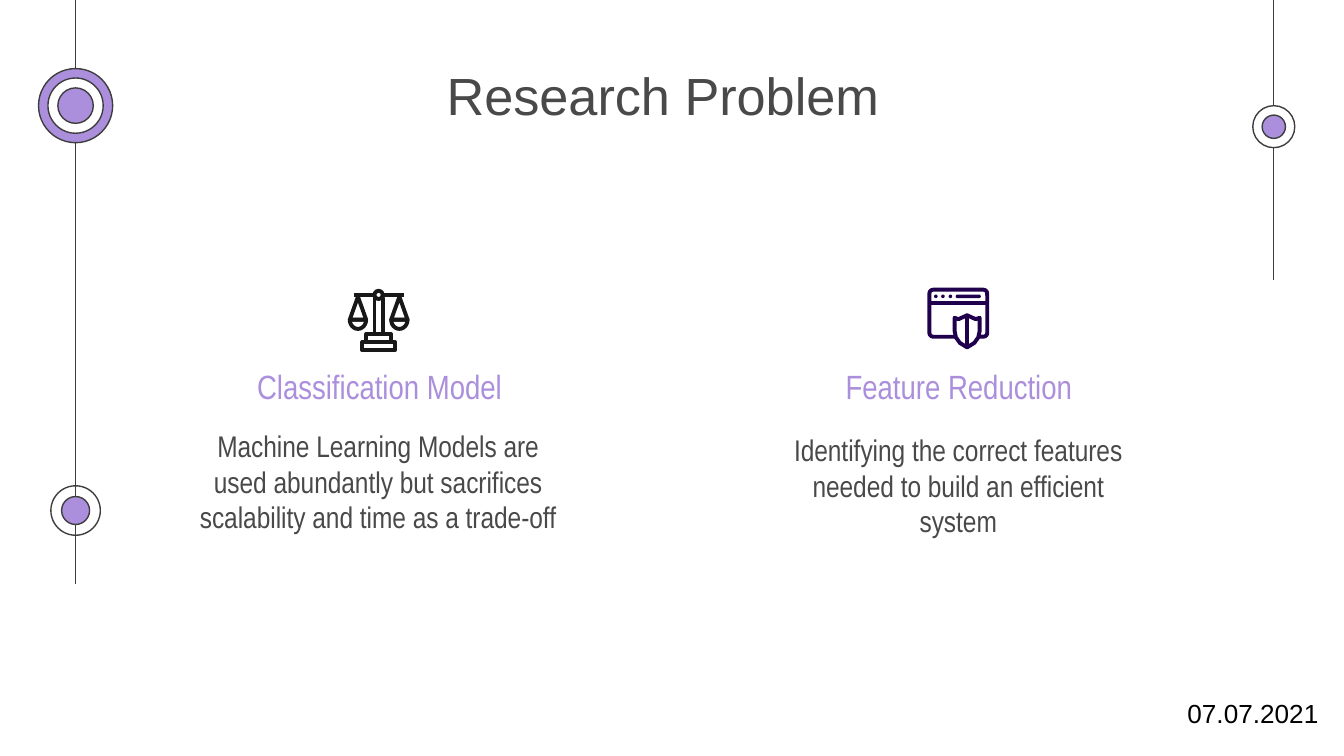
from math import cos, pi, sin

from lxml import etree
from pptx import Presentation
from pptx.dml.color import RGBColor
from pptx.enum.shapes import MSO_CONNECTOR, MSO_SHAPE
from pptx.enum.text import MSO_ANCHOR, MSO_AUTO_SIZE, PP_ALIGN
from pptx.oxml.ns import qn
from pptx.util import Pt

STRAIGHT = MSO_CONNECTOR.STRAIGHT
OVAL, RECT, ROUNDED = MSO_SHAPE.OVAL, MSO_SHAPE.RECTANGLE, MSO_SHAPE.ROUNDED_RECTANGLE
CENTER, RIGHT = PP_ALIGN.CENTER, PP_ALIGN.RIGHT

COLORS = {"rail": "3D3D3D", "accent": "AB8FDC", "text": "494949", "white": "FFFFFF",
          "window": "20004D", "scales": "181818", "date": "000000"}

# Content: placeholder index, text, box (left, top, width, height), style
TEXTS = [
    (0, "Research Problem", (135.4, 26.6, 439.2, 46.8), "title"),
    (1, "Classification Model", (118.1, 188.6, 170.6, 25.9), "heading"),
    (2, "Machine Learning Models are used abundantly but sacrifices scalability "
        "and time as a trade-off", (95, 221.8, 215.3, 87.8), "body"),
    (3, "Feature Reduction", (424.8, 188.6, 177.8, 25.9), "heading"),
    (4, "Identifying the correct features needed to build an efficient system",
     (409.7, 223.9, 207.4, 85), "body"),
]
DATE = ("07.07.2021", (0.7, 370, 712.8, 24.5))
STYLES = {
    "title": ("Arial", 28, "text", CENTER),
    "heading": ("Arial Narrow", 18, "accent", CENTER),
    "body": ("Arial Narrow", 16, "text", CENTER),
    "date": ("Arial", 14, "date", RIGHT),
}

# Rails: x and length; targets: centre, then (diameter, fill) from outside in
RAILS = [(40.5, 313), (682.4, 150)]
TARGETS = [
    ((40.5, 273.5), [(26.5, None), (15, "accent")]),
    ((682.4, 67.9), [(22.5, "white"), (12.5, "accent")]),
    ((40.5, 56.6), [(39.7, "accent"), (29.6, "white"), (19, "accent")]),
]

# Icons: corner, then parts measured from that corner
SCALES_AT, WINDOW_AT, STROKE = (186.5, 154.8), (496.8, 154.1), 2.1
BEAM = ((2.9, 3.2), (30.1, 3.2))
SCALES_BLOCKS = [(14.1, 5, 4.4, 19.1), (9.8, 24.1, 13.2, 4.4), (7.6, 28.5, 17.6, 4.3)]
PAN_CENTERS, PAN_RADIUS, PAN_TOP, PAN_Y, PAN_DEPTH = (5.3, 27.5), 4.4, 4.2, 16.5, 4.9
WINDOW_DOTS, DOT = (3.6, 7.4, 11.4), 1.9
SHIELD_X, SHIELD_HALF = 21.3, [(0, 14.8), (4.6, 16.9), (6.7, 16.2), (6.7, 23.2),
                               (6, 26.6), (3.9, 29.6), (0, 32)]


def rgb(name):
    return RGBColor.from_string(COLORS[name])


def paint(shape, fill=None, line=None, width=0.75):
    shape.shadow.inherit = False
    if fill:
        shape.fill.solid()
        shape.fill.fore_color.rgb = rgb(fill)
    else:
        shape.fill.background()
    if line:
        shape.line.color.rgb = rgb(line)
        shape.line.width = Pt(width)
    else:
        shape.line.fill.background()


def add_preset(kind, box, **look):
    shape = slide.shapes.add_shape(kind, *map(Pt, box))
    paint(shape, **look)
    return shape


def add_line(start, end, color, width=0.75):
    line = slide.shapes.add_connector(STRAIGHT, *map(Pt, (*start, *end)))
    line.line.color.rgb = rgb(color)
    line.line.width = Pt(width)
    etree.SubElement(line._element.spPr, qn("a:effectLst"))


def add_outline(points, **look):
    first, *rest = [(Pt(x), Pt(y)) for x, y in points]
    builder = slide.shapes.build_freeform(*first)
    builder.add_line_segments(rest, close=True)
    paint(builder.convert_to_shape(), **look)


def shift(corner, *points):
    return [(corner[0] + x, corner[1] + y) for x, y in points]


def write(shape, text, box, style):
    font_name, size, color, align = STYLES[style]
    shape.left, shape.top, shape.width, shape.height = map(Pt, box)
    frame = shape.text_frame
    frame.text = text
    frame_format = {"word_wrap": True, "auto_size": MSO_AUTO_SIZE.NONE,
                    "vertical_anchor": MSO_ANCHOR.TOP, "margin_left": Pt(7.2),
                    "margin_right": Pt(7.2), "margin_top": Pt(7.2), "margin_bottom": Pt(7.2)}
    if style == "date":
        frame_format.update(margin_top=Pt(3.6), margin_bottom=Pt(3.6))
    paragraph = frame.paragraphs[0]
    properties = paragraph._p.get_or_add_pPr()
    properties.set("marL", "0")
    properties.set("indent", "0")
    etree.SubElement(properties, qn("a:buNone"))
    font = paragraph.runs[0].font
    formats = [
        (frame, frame_format),
        (paragraph, {"alignment": align, "space_before": Pt(0)}),
        (font, {"name": font_name, "size": Pt(size), "bold": False}),
    ]
    for target, values in formats:
        for key, value in values.items():
            setattr(target, key, value)
    font.color.rgb = rgb(color)


prs = Presentation()
prs.slide_width, prs.slide_height = Pt(720), Pt(405)
slide = prs.slides.add_slide(prs.slide_layouts[4])

# Rails and their targets
for x, length in RAILS:
    add_line((x, 0), (x, length), "rail")
for (x, y), rings in TARGETS:
    for diameter, fill in rings:
        add_preset(OVAL, (x - diameter / 2, y - diameter / 2, diameter, diameter),
                   fill=fill, line="rail")

# Title, headings, descriptions and date
for index, text, box, style in TEXTS:
    write(slide.placeholders[index], text, box, style)
date_text, date_box = DATE
write(slide.shapes.add_textbox(*map(Pt, date_box)), date_text, date_box, "date")

# Browser window with shield
ink = {"line": "window", "width": STROKE}
left, top = WINDOW_AT
window = add_preset(ROUNDED, (left + 1.1, top + 1.1, 31, 25.2), **ink)
window.adjustments[0] = 0.08
add_line(*shift(WINDOW_AT, (1.1, 8.4), (32.1, 8.4)), "window", STROKE)
for x in WINDOW_DOTS:
    add_preset(OVAL, (left + x, top + 3.7, DOT, DOT), fill="window")
address_bar = add_preset(ROUNDED, (left + 15.2, top + 3.7, 13.5, DOT), fill="window")
address_bar.adjustments[0] = 0.5
shield = [(SHIELD_X + x, y) for x, y in SHIELD_HALF]
shield += [(SHIELD_X - x, y) for x, y in SHIELD_HALF[-2:0:-1]]
add_outline(shift(WINDOW_AT, *shield), fill="white", **ink)
add_line(*shift(WINDOW_AT, (SHIELD_X, 14.8), (SHIELD_X, 32)), "window", STROKE)

# Balance scales
ink = {"line": "scales", "width": STROKE}
left, top = SCALES_AT
add_line(*shift(SCALES_AT, *BEAM), "scales", STROKE)
for x, y, width, height in SCALES_BLOCKS:
    add_preset(RECT, (left + x, top + y, width, height), **ink)
add_preset(OVAL, (left + 14.1, top + 1, 4.4, 4.4), fill="white", **ink)
for x in PAN_CENTERS:
    bowl = [(x + PAN_RADIUS * cos(pi * step / 12), PAN_Y + PAN_DEPTH * sin(pi * step / 12))
            for step in range(13)]
    add_outline(shift(SCALES_AT, *bowl), **ink)
    add_outline(shift(SCALES_AT, (x, PAN_TOP), bowl[0], bowl[-1]), **ink)

prs.save("out.pptx")
